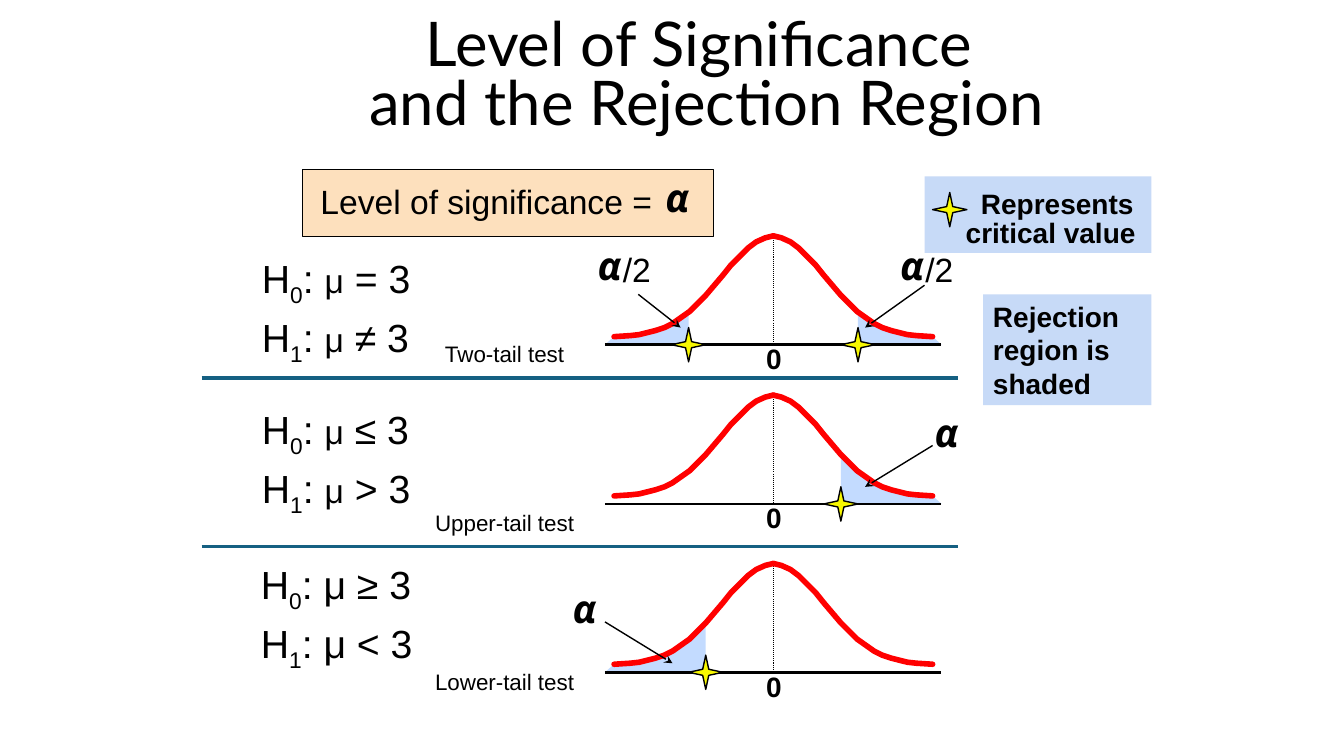
from dataclasses import dataclass

from lxml import etree
from pptx import Presentation
from pptx import util as u
from pptx.dml import color
from pptx.enum import dml, shapes, text
from pptx.oxml import ns

BLACK, RED, BLUE = "000000", "FF0000", "C7DAF7"
CENTER = 7.67
CURVE_HEIGHT = 1.08
# Distance from the centre, drop below the peak
HALF_BELL = [(1.58, 1), (1.42, 0.99), (1.33, 0.98), (1.25, 0.96), (1.17, 0.94), (1.08, 0.91),
             (1, 0.87), (0.83, 0.75), (0.67, 0.59), (0.5, 0.39), (0.42, 0.29), (0.33, 0.2),
             (0.25, 0.12), (0.17, 0.06), (0.08, 0.02), (0, 0)]
# Distance from the centre, height above the axis
TAIL = [(1.67, 0), (1.58, 0.08), (1.24, 0.14), (1.06, 0.2), (0.87, 0.32)]
LEFT, RIGHT = -1, 1

Point = tuple[float, float]


@dataclass(frozen=True)
class Span:
    words: str
    size: float
    font: str = "Arial"
    bold: bool = False
    italic: bool = False
    subscript: bool = False


@dataclass(frozen=True)
class Test:
    name: str
    name_top: float
    axis: float
    relations: tuple[str, str]
    hypotheses_at: Point
    mu_size: float
    sides: tuple[int, ...]
    cut: Point
    alphas: tuple[Point, ...]
    halves: tuple[Point, ...]
    arrows: tuple[tuple[Point, Point], ...]


TESTS = [
    Test("Two-tail test", 3.33, 3.42, ("=", "≠"), (2.5, 2.42), 24, (LEFT, RIGHT), (0.84, 0.33),
         ((5.83, 2.34), (8.83, 2.34)), ((6.08, 2.42), (9.08, 2.42)),
         (((6.33, 2.92), (6.75, 3.25)), ((9.17, 2.83), (8.58, 3.25)))),
    Test("Upper-tail test", 5, 5, ("≤", ">"), (2.5, 3.92), 24, (RIGHT,), (0.67, 0.5),
         ((9.17, 4),), (), (((9.25, 4.42), (8.58, 4.83)),)),
    Test("Lower-tail test", 6.58, 6.67, ("≥", "<"), (2.49, 5.46), 28, (LEFT,), (0.67, 0.5),
         ((5.58, 5.75),), (), (((6, 6.17), (6.67, 6.58)),)),
]

deck = Presentation()
deck.slide_width, deck.slide_height = u.Inches(13.33), u.Inches(7.5)
page = deck.slides.add_slide(deck.slide_layouts[6])


def rgb(code: str) -> color.RGBColor:
    return color.RGBColor.from_string(code)


def add_span(para, span: Span) -> None:
    run = para.add_run()
    run.text = span.words
    font = run.font
    font.size, font.name = u.Pt(span.size), span.font
    font.bold, font.italic = span.bold, span.italic
    font.color.rgb = rgb(BLACK)
    if span.subscript:
        run._r.get_or_add_rPr().set("baseline", "-25000")


def fill_frame(frame, paragraphs: list[list[Span]], align=text.PP_ALIGN.LEFT,
               spacing: float = 1) -> None:
    frame.word_wrap = True
    frame.vertical_anchor = text.MSO_ANCHOR.TOP
    for number, spans in enumerate(paragraphs):
        para = frame.add_paragraph() if number else frame.paragraphs[0]
        para.alignment, para.line_spacing = align, spacing
        for span in spans:
            add_span(para, span)


def add_text(left: float, top: float, width: float, height: float,
             paragraphs: list[list[Span]], **layout):
    box = page.shapes.add_textbox(*map(u.Inches, (left, top, width, height)))
    fill_frame(box.text_frame, paragraphs, **layout)
    return box.text_frame


def style(shape, fill: str | None, line: str | None, width: float = 1) -> None:
    shape.shadow.inherit = False
    if fill:
        shape.fill.solid()
        shape.fill.fore_color.rgb = rgb(fill)
    else:
        shape.fill.background()
    if line:
        shape.line.color.rgb = rgb(line)
        shape.line.width = u.Pt(width)
    else:
        shape.line.fill.background()


def add_box(left: float, top: float, width: float, height: float, fill: str,
            line: str | None = None):
    box = page.shapes.add_shape(shapes.MSO_SHAPE.RECTANGLE,
                                *map(u.Inches, (left, top, width, height)))
    style(box, fill, line, 0.75)
    return box


def add_line(start: Point, end: Point, width: float, code: str = BLACK,
             dotted: bool = False, arrow: bool = False) -> None:
    line = page.shapes.add_connector(shapes.MSO_CONNECTOR.STRAIGHT,
                                     *map(u.Inches, (*start, *end)))
    line.line.color.rgb = rgb(code)
    line.line.width = u.Pt(width)
    if dotted:
        line.line.dash_style = dml.MSO_LINE.ROUND_DOT
    if arrow:
        etree.SubElement(line.line._get_or_add_ln(), ns.qn("a:tailEnd"), type="stealth")
    etree.SubElement(line._element.spPr, ns.qn("a:effectLst"))


def add_outline(points: list[Point], closed: bool):
    corners = [(u.Inches(x), u.Inches(y)) for x, y in points]
    builder = page.shapes.build_freeform(*corners[0])
    builder.add_line_segments(corners[1:], close=closed)
    return builder.convert_to_shape()


def add_star(x: float, y: float) -> None:
    """Mark a critical value with a star centred at x, y."""
    star = page.shapes.add_shape(shapes.MSO_SHAPE.STAR_4_POINT, u.Inches(x - 0.17),
                                 u.Inches(y - 0.17), u.Inches(0.34), u.Inches(0.34))
    star.adjustments[0] = 0.125
    style(star, "F8F800", BLACK)


def add_alpha(left: float, top: float, width: float = 0.42) -> None:
    add_text(left, top, width, 0.56, [[Span("α", 28, "Noto Sans", bold=True, italic=True)]])


def hypothesis(index: str, relation: str, mu_size: float) -> list[Span]:
    return [Span("H", 28), Span(index, 28, subscript=True), Span(": ", 28),
            Span("μ", mu_size), Span(f" {relation} 3", 28)]


def add_test(test: Test) -> None:
    peak = test.axis - CURVE_HEIGHT
    cut, cut_height = test.cut
    add_line((CENTER, peak), (CENTER, test.axis), 0.75, dotted=True)
    for side in test.sides:
        region = [(CENTER + side * x, test.axis - y) for x, y in [*TAIL, test.cut, (cut, 0)]]
        style(add_outline(region, True), "C3DBFF", None)
    for side in (LEFT, RIGHT):
        half = add_outline([(CENTER + side * x, peak + y) for x, y in HALF_BELL], False)
        style(half, None, RED, 4)
        half.line._get_or_add_ln().set("cap", "rnd")
    add_line((6, test.axis), (9.33, test.axis), 2)
    add_text(7.5, test.axis - 0.08, 0.33, 0.43, [[Span("0", 20, bold=True)]])
    for side in test.sides:
        add_star(CENTER + side * cut, test.axis)
    for left, top in test.halves:
        add_text(left, top, 0.67, 0.5, [[Span("/2", 24)]])
    for left, top in test.alphas:
        add_alpha(left, top)
    for start, end in test.arrows:
        add_line(start, end, 1, arrow=True)
    add_text(*test.hypotheses_at, 2.26, 1.12,
             [hypothesis(str(index), relation, test.mu_size)
              for index, relation in enumerate(test.relations)], spacing=1.1)
    add_text(4.17, test.name_top, 1.67, 0.36, [[Span(test.name, 16)]],
             align=text.PP_ALIGN.CENTER)


def add_legend() -> None:
    critical = add_box(9.17, 1.75, 2.25, 0.76, BLUE)
    frame = critical.text_frame
    fill_frame(frame, [[Span("Represents", 20, bold=True)],
                       [Span("critical value", 20, bold=True)]])
    frame.margin_top = u.Inches(0.1)
    for para, indent in zip(frame.paragraphs, (0.46, 0.31)):
        para._p.get_or_add_pPr().set("marL", str(u.Inches(indent)))
    frame.paragraphs[1].line_spacing = 0.3
    frame.paragraphs[1].space_before = u.Pt(11)
    add_star(9.42, 2.08)
    rejection = add_box(9.75, 2.92, 1.67, 1.1, BLUE)
    fill_frame(rejection.text_frame, [[Span("Rejection region is shaded", 20, bold=True)]])


title = add_text(2.75, 0.33, 8.52, 1.08, [[Span("Level of Significance ", 44, "Lato")]],
                 align=text.PP_ALIGN.CENTER, spacing=0.8)
title.vertical_anchor = text.MSO_ANCHOR.BOTTOM
title.paragraphs[0].add_line_break()
add_span(title.paragraphs[0], Span("and the Rejection Region", 44, "Lato"))

add_box(3, 1.68, 4.08, 0.67, "FDE0BD", BLACK)
add_text(3.08, 1.75, 3.59, 0.5, [[Span("Level of significance =", 24)]])
add_alpha(6.5, 1.67, 0.58)
add_legend()
for divider in (3.75, 5.42):
    add_line((2, divider), (9.5, divider), 2.25, "156082")
for test in TESTS:
    add_test(test)

deck.save("out.pptx")
